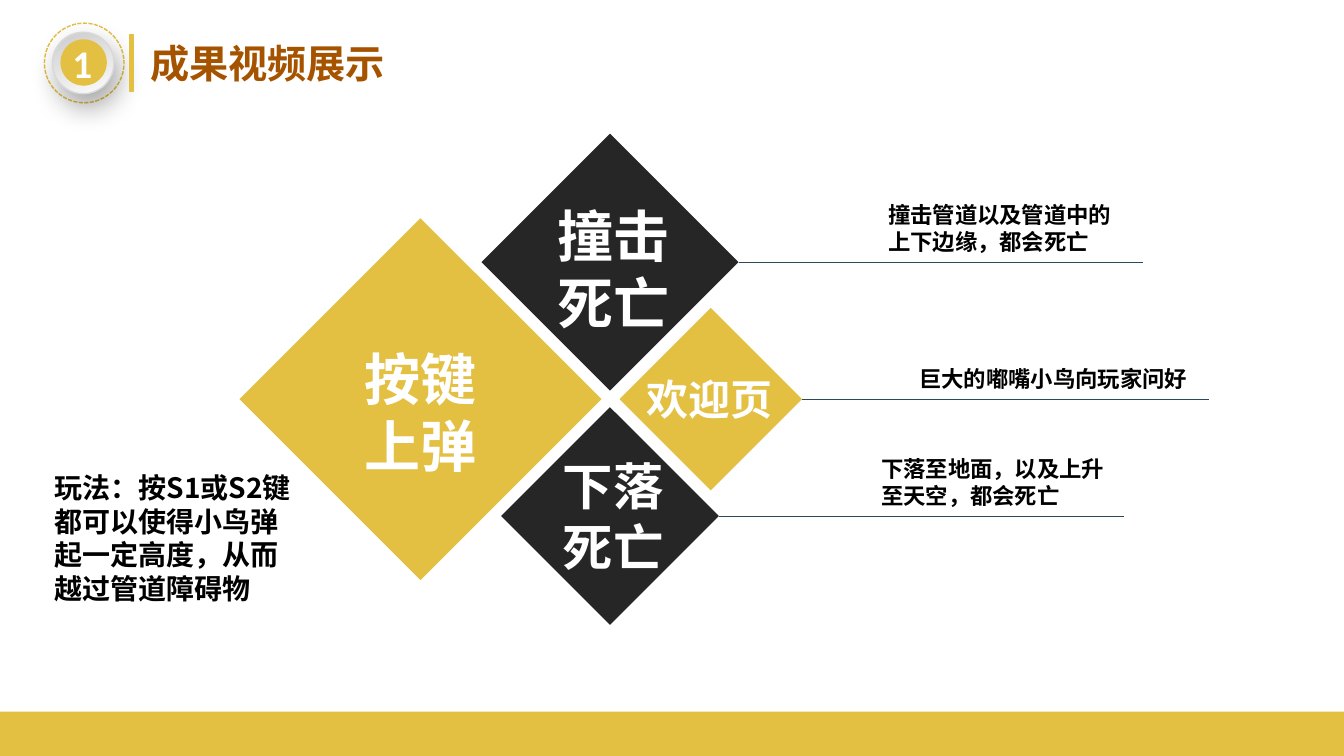
from dataclasses import dataclass

from lxml import etree
from pptx import Presentation
from pptx.dml.color import RGBColor
from pptx.enum.dml import MSO_LINE
from pptx.enum.shapes import MSO_CONNECTOR, MSO_SHAPE
from pptx.enum.text import MSO_ANCHOR, MSO_AUTO_SIZE, PP_ALIGN
from pptx.oxml import parse_xml
from pptx.oxml.ns import nsdecls, qn
from pptx.util import Inches, Pt

STRAIGHT = MSO_CONNECTOR.STRAIGHT
RECTANGLE, OVAL, DIAMOND = MSO_SHAPE.RECTANGLE, MSO_SHAPE.OVAL, MSO_SHAPE.DIAMOND
LEFT, CENTER, JUSTIFY = PP_ALIGN.LEFT, PP_ALIGN.CENTER, PP_ALIGN.JUSTIFY
RIGHT_SITE = 3
CJK = "Noto Sans CJK SC"
COLORS = {
    "gold": "E3BF42", "dark": "262626", "brown": "A65300", "rule": "294A5A",
    "white": "FFFFFF", "black": "000000", "ring": "D9D9D9",
    "silver": "CCCCCC", "pearl": "FCFCFC",
}


@dataclass
class Tile:
    center_x: float
    center_y: float
    size: float
    color: str
    rule_end: float | None = None


@dataclass
class Label:
    text: str
    left: float
    top: float
    width: float
    height: float
    size: int
    color: str = "black"
    align: PP_ALIGN = LEFT
    font: str = CJK
    wrap: bool = True


def rgb(name: str) -> RGBColor:
    return RGBColor.from_string(COLORS[name])


def add_figure(slide, kind, left: float, top: float, width: float, height: float,
               fill: str | None = None, line: str | None = None):
    figure = slide.shapes.add_shape(
        kind, Inches(left), Inches(top), Inches(width), Inches(height))
    figure.shadow.inherit = False
    if fill:
        figure.fill.solid()
        figure.fill.fore_color.rgb = rgb(fill)
    else:
        figure.fill.background()
    if line:
        figure.line.color.rgb = rgb(line)
        figure.line.width = Pt(1)
    else:
        figure.line.fill.background()
    return figure


def write_label(box, label: Label) -> None:
    box.left, box.top = Inches(label.left), Inches(label.top)
    box.width, box.height = Inches(label.width), Inches(label.height)
    frame = box.text_frame
    frame.text = label.text
    frame.word_wrap = label.wrap
    frame.auto_size = MSO_AUTO_SIZE.SHAPE_TO_FIT_TEXT
    frame.vertical_anchor = MSO_ANCHOR.TOP
    for paragraph in frame.paragraphs:
        paragraph.alignment = label.align
        for run in paragraph.runs:
            font = run.font
            font.size, font.bold, font.name = Pt(label.size), True, label.font
            font.color.rgb = rgb(label.color)
            # East Asian text takes its own typeface element
            east_asian = etree.SubElement(run._r.get_or_add_rPr(), qn("a:ea"))
            east_asian.set("typeface", label.font)


def add_label(slide, label: Label) -> None:
    write_label(slide.shapes.add_textbox(0, 0, 0, 0), label)


def add_badge(slide) -> None:
    dashed_ring = add_figure(slide, OVAL, 0.44, 0.23, 0.79, 0.79, line="gold")
    dashed_ring.line.dash_style = MSO_LINE.SQUARE_DOT
    disc = add_figure(slide, OVAL, 0.52, 0.32, 0.61, 0.61, line="ring")
    disc.fill.gradient()
    disc.fill.gradient_angle = 290
    for stop, color in zip(disc.fill.gradient_stops, ("silver", "pearl")):
        stop.color.rgb = rgb(color)
    # Soft shadow falling below the disc
    effects = disc._element.spPr.find(qn("a:effectLst"))
    effects.append(parse_xml(
        f'<a:outerShdw {nsdecls("a")} blurRad="{Pt(20)}" dist="{Pt(10)}" '
        f'dir="{70 * 60000}" algn="ctr" rotWithShape="0">'
        f'<a:srgbClr val="{COLORS["black"]}"><a:alpha val="34000"/></a:srgbClr>'
        '</a:outerShdw>'))
    add_figure(slide, OVAL, 0.6, 0.39, 0.46, 0.46, "gold")
    add_label(slide, Label("1", 0.62, 0.34, 0.4, 0.57, 28, "white",
                           font="Calibri", wrap=False))
    add_figure(slide, RECTANGLE, 1.29, 0.34, 0.03, 0.57, "gold", "gold")


def add_tile(slide, tile: Tile) -> None:
    half = tile.size / 2
    diamond = add_figure(slide, DIAMOND, tile.center_x - half, tile.center_y - half,
                         tile.size, tile.size, tile.color)
    if tile.rule_end is None:
        return
    rule_y = Inches(tile.center_y)
    rule = slide.shapes.add_connector(
        STRAIGHT, Inches(tile.center_x + half), rule_y, Inches(tile.rule_end), rule_y)
    rule.begin_connect(diamond, RIGHT_SITE)
    rule.end_y = rule.begin_y
    rule.line.color.rgb = rgb("rule")
    rule.line.width = Pt(0.75)
    etree.SubElement(rule._element.spPr, qn("a:effectLst"))


TITLE = Label("成果视频展示", 1.39, 0.34, 4.18, 0.57, 28, "brown", JUSTIFY)
TILES = [
    Tile(4.17, 3.96, 3.59, "gold"),
    Tile(6.05, 2.6, 2.55, "dark", 11.34),
    Tile(6.05, 5.12, 2.16, "dark", 11.15),
    Tile(7.05, 3.96, 1.81, "gold", 11.99),
]
LABELS = [
    # Diamond captions
    Label("按键上弹", 3.26, 3.37, 1.82, 1.45, 40, "white", CENTER),
    Label("撞击死亡", 5.17, 1.95, 1.82, 1.45, 40, "white", CENTER),
    Label("下落\n死亡", 5.17, 4.47, 1.82, 1.31, 36, "white", CENTER),
    Label("欢迎页", 6.13, 3.66, 1.82, 0.6, 30, "white", CENTER),
    # Explanations
    Label("撞击管道以及管道中的上下边缘，都会死亡", 8.71, 1.95, 2.63, 0.64, 16),
    Label("巨大的嘟嘴小鸟向玩家问好", 9.02, 3.57, 2.97, 0.37, 16),
    Label("玩法：按S1或S2键都可以使得小鸟弹起一定高度，从而越过管道障碍物",
          0.44, 4.62, 2.63, 1.45, 20),
    Label("下落至地面，以及上升至天空，都会死亡", 8.64, 4.47, 2.51, 0.64, 16),
]


def main() -> None:
    deck = Presentation()
    deck.slide_width, deck.slide_height = Inches(13.33), Inches(7.5)
    slide = deck.slides.add_slide(deck.slide_layouts[5])

    # Header and footer band
    write_label(slide.shapes.title, TITLE)
    add_figure(slide, RECTANGLE, 0, 7.06, 13.33, 0.44, "gold")
    add_badge(slide)

    # Diamonds with their rules, then the text over them
    for tile in TILES:
        add_tile(slide, tile)
    for label in LABELS:
        add_label(slide, label)

    deck.save("out.pptx")


if __name__ == "__main__":
    main()
